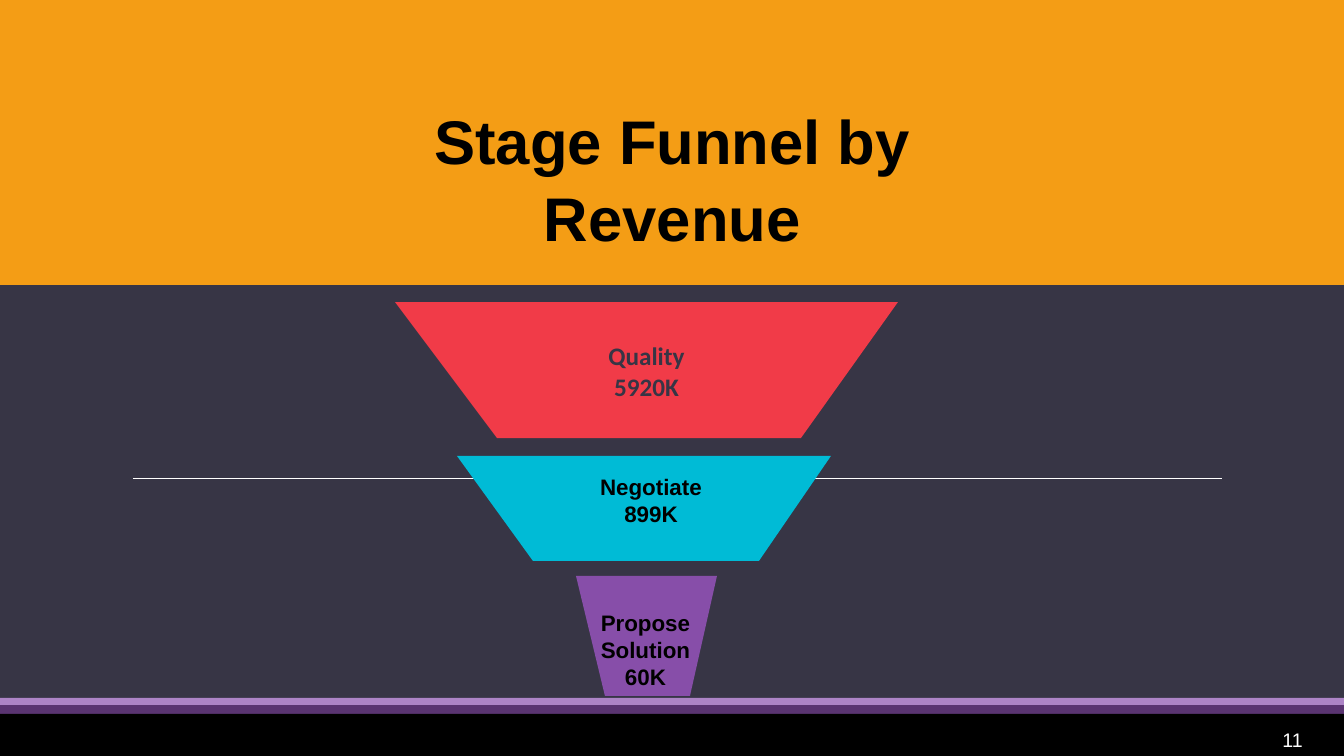
from dataclasses import dataclass

from lxml import etree
from pptx import Presentation
from pptx import util as u
from pptx.dml.color import RGBColor
from pptx.enum import shapes, text
from pptx.oxml.ns import qn

PX = u.Inches(1) / 100.8
WIDTH, HEIGHT = 1344, 756


@dataclass(frozen=True)
class Theme:
    """Colours, fonts and type sizes of the slide."""
    ground: str = "373545"
    orange: str = "F49D15"
    lilac: str = "AD84C6"
    plum: str = "5A3471"
    red: str = "F13B48"
    cyan: str = "00BBD6"
    purple: str = "874EA9"
    black: str = "000000"
    white: str = "FFFFFF"
    sans: str = "Arial"
    accent: str = "Calibri"
    title: int = 44
    lead: int = 18
    label: int = 16
    number: int = 14


THEME = Theme()


def emu(px):
    """Turn px into EMU."""
    return u.Emu(round(px * PX))


def paint(shape, colour):
    """Give a shape a plain fill without line or shadow."""
    shape.fill.solid()
    shape.fill.fore_color.rgb = RGBColor.from_string(colour)
    shape.line.fill.background()
    shape.shadow.inherit = False


def write(frame, lines, size, colour, font, bold=True, insets=(0, 0, 0, 0),
          anchor=text.MSO_ANCHOR.MIDDLE, spacing=None):
    """Write centred lines; insets are left, top, right, bottom."""
    frame.word_wrap = True
    frame.auto_size = text.MSO_AUTO_SIZE.NONE
    frame.vertical_anchor = anchor
    (frame.margin_left, frame.margin_top,
     frame.margin_right, frame.margin_bottom) = map(emu, insets)
    for index, line in enumerate(lines):
        para = frame.paragraphs[0] if index == 0 else frame.add_paragraph()
        para.alignment = text.PP_ALIGN.CENTER
        para.line_spacing = spacing
        span = para.add_run()
        span.text = line
        span.font.size = u.Pt(size)
        span.font.name = font
        span.font.bold = bold
        span.font.color.rgb = RGBColor.from_string(colour)


def add_band(page, top, height, colour):
    """Draw a band across the whole slide."""
    band = page.shapes.add_shape(shapes.MSO_SHAPE.RECTANGLE, 0, emu(top), emu(WIDTH), emu(height))
    paint(band, colour)
    return band


def add_header(page, height):
    """Place the title on an orange band of the given height."""
    band = add_band(page, 0, height, THEME.orange)
    title = page.shapes.title
    title.element.addprevious(band.element)
    title.left, title.top = emu(340), emu(height - 191)
    title.width, title.height = emu(665), emu(160)
    write(title.text_frame, ["Stage Funnel by Revenue"], THEME.title, THEME.black, THEME.sans,
          insets=(10, 5, 10, 5), anchor=text.MSO_ANCHOR.TOP, spacing=1.05)


def add_footer(page, top):
    """Stack the footer bands from top and add the slide number."""
    add_band(page, top, 7, THEME.lilac)
    add_band(page, top + 7, 9, THEME.plum)
    add_band(page, top + 16, HEIGHT - top - 16, THEME.black)
    box = page.shapes.add_textbox(emu(1262), emu(top + 25), emu(61), emu(34))
    write(box.text_frame, ["11"], THEME.number, THEME.white, THEME.sans, bold=False)


def add_rule(page, left, right, y):
    """Draw the thin horizontal rule behind the funnel."""
    rule = page.shapes.add_connector(shapes.MSO_CONNECTOR.STRAIGHT,
                                     emu(left), emu(y), emu(right), emu(y))
    rule.line.color.rgb = RGBColor.from_string(THEME.white)
    rule.line.width = u.Pt(0.5)
    etree.SubElement(rule.element.spPr, qn("a:effectLst"))


def add_tier(page, box, tapers, fill, lines, **style):
    """Draw one funnel tier in a box, narrowed at its foot by the tapers."""
    left, top, width, height = box
    right, bottom = left + width, top + height
    outline = page.shapes.build_freeform(left, top, scale=PX)
    outline.add_line_segments([(right, top), (right - tapers[1], bottom),
                               (left + tapers[0], bottom)], close=True)
    tier = outline.convert_to_shape()
    paint(tier, fill)
    write(tier.text_frame, lines, **style)


def add_funnel(page, left, top):
    """Stack the three tiers of the funnel from its top left corner."""
    label = dict(size=THEME.label, colour=THEME.black, font=THEME.sans)
    lead = dict(size=THEME.lead, colour=THEME.ground, font=THEME.accent)
    add_tier(page, (left, top, 503, 136), (102, 97), THEME.red,
             ["Quality", "5920K"], insets=(0, 2, 0, 0), **lead)
    add_tier(page, (left + 62, top + 154, 374, 105), (76, 72), THEME.cyan,
             ["Negotiate", "899K"], insets=(14, 0, 0, 17), **label)
    add_tier(page, (left + 181, top + 274, 141, 120), (29, 27), THEME.purple,
             ["Propose", "Solution", "60K"], insets=(0, 27, 2, 0), **label)


def build():
    """Build and save the slide."""
    deck = Presentation()
    deck.slide_width, deck.slide_height = emu(WIDTH), emu(HEIGHT)
    page = deck.slides.add_slide(deck.slide_layouts[5])
    page.background.fill.solid()
    page.background.fill.fore_color.rgb = RGBColor.from_string(THEME.ground)
    add_header(page, 285)
    add_footer(page, 698)
    add_rule(page, 133, 1222, 478)
    add_funnel(page, 395, 302)
    deck.save("out.pptx")


if __name__ == "__main__":
    build()
